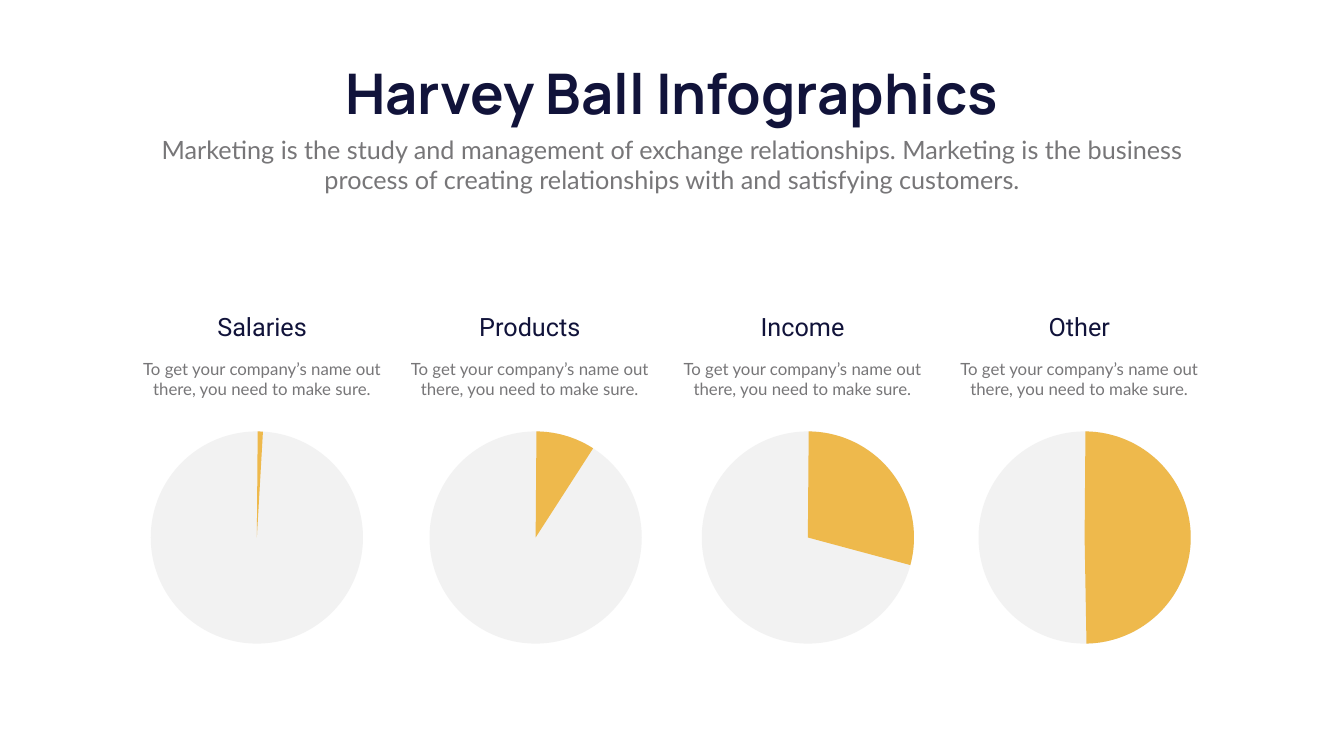
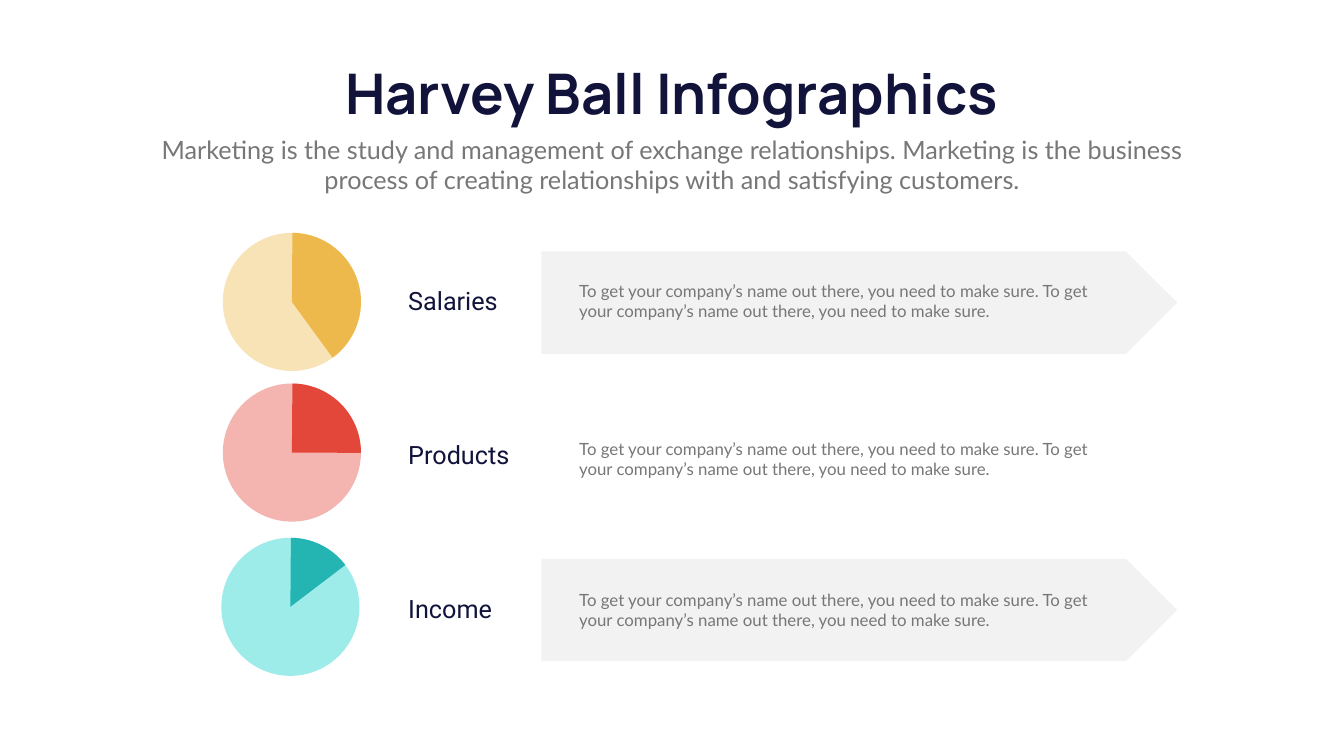
import pptx
import pptx.dml.color
import pptx.enum.shapes
import pptx.enum.text
import pptx.util

Inches = pptx.util.Inches
SHAPE = pptx.enum.shapes.MSO_SHAPE
ALIGN = pptx.enum.text.PP_ALIGN
AUTO_SIZE = pptx.enum.text.MSO_AUTO_SIZE

COLORS = {
    "navy": "11133A",
    "gray": "777678",
    "light": "F2F2F2",
    "gold": "EEB94C",
    "pale_gold": "F8E3B7",
    "red": "E34739",
    "pale_red": "F4B5B0",
    "teal": "24B5B2",
    "pale_teal": "9DECEA",
}
STYLES = {
    "title": ("Manrope", 80, "navy", True),
    "subtitle": ("Lato", 36, "gray", False),
    "label": ("Roboto", 36, "navy", False),
    "body": ("Lato", 24, "gray", False),
}
TITLE = "Harvey Ball Infographics"
SUBTITLE = (
    "Marketing is the study and management of exchange relationships. "
    "Marketing is the business process of creating relationships with "
    "and satisfying customers."
)
BLURB = "To get your company’s name out there, you need to make sure."
LONG_BLURB = f"{BLURB} To get your company’s name out there, you need to make sure."
PIE_START = 270.45
ROW_PITCH = 3.05


def rgb(name):
    return pptx.dml.color.RGBColor.from_string(COLORS[name])


def add_text(shapes, box, text, style, align=ALIGN.LEFT, wrap=True):
    font, size, color, bold = STYLES[style]
    tf = shapes.add_textbox(*map(Inches, box)).text_frame
    tf.word_wrap = wrap
    tf.auto_size = AUTO_SIZE.SHAPE_TO_FIT_TEXT
    tf.text = text
    p = tf.paragraphs[0]
    p.alignment = align
    r = p.runs[0]
    r.font.name = font
    r.font.size = pptx.util.Pt(size)
    r.font.bold = bold
    r.font.color.rgb = rgb(color)


def add_filled(shapes, kind, box, color):
    sp = shapes.add_shape(kind, *map(Inches, box))
    sp.shadow.inherit = False
    sp.fill.solid()
    sp.fill.fore_color.rgb = rgb(color)
    sp.line.fill.background()
    return sp


def add_ball(s, left, top, size, end_angle, base, wedge):
    shapes = s.shapes.add_group_shape().shapes
    box = (left, top, size, size)
    add_filled(shapes, SHAPE.OVAL, box, base)
    pie = add_filled(shapes, SHAPE.PIE, box, wedge)
    for i, angle in enumerate((PIE_START, end_angle)):
        pie.adjustments[i] = angle * 0.6


def add_header(s, left, top):
    shapes = s.shapes.add_group_shape().shapes
    add_text(shapes, (left + 3.22, top, 14.37, 1.45), TITLE, "title", ALIGN.CENTER, False)
    add_text(shapes, (left, top + 1.49, 20.82, 1.31), SUBTITLE, "subtitle", ALIGN.CENTER)


def add_column(s, left, top, label, ball_left, end_angle):
    add_ball(s, ball_left, top + 2.44, 4.21, end_angle, "light", "gold")
    add_text(s.shapes, (left, top + 0.95, 5.59, 0.91), BLURB, "body", ALIGN.CENTER)
    add_text(s.shapes, (left + 1.17, top, 3.26, 0.71), label, "label", ALIGN.CENTER)


def add_row(s, left, top, label, ball, end_angle, hue, text_top, banner):
    add_ball(s, *ball, 2.74, end_angle, f"pale_{hue}", hue)
    add_text(s.shapes, (left, top + 0.63, 3.26, 0.71), label, "label")
    if banner:
        add_filled(s.shapes, SHAPE.PENTAGON, (left + 2.74, top, 12.61, 2.03), "light")
    add_text(s.shapes, (left + 3.39, text_top, 10.8, 0.91), LONG_BLURB, "body")


def new_slide(prs):
    s = prs.slides.add_slide(prs.slide_layouts[6])
    add_header(s, 2.92, 1.12)
    return s


def build_columns(prs):
    s = new_slide(prs)
    columns = [
        (2.4, "Salaries", 2.99, 273.29),
        (7.71, "Products", 8.52, 302.8),
        (13.12, "Income", 13.92, 15.07),
        (18.61, "Other", 19.41, 88.99),
    ]
    for left, label, ball_left, end_angle in columns:
        add_column(s, left, 6.12, label, ball_left, end_angle)


def build_rows(prs):
    s = new_slide(prs)
    rows = [
        ("Salaries", (4.42, 4.62), 53.89, "gold", 5.52, True),
        ("Products", (4.42, 7.61), 0.23, "red", 8.65, False),
        ("Income", (4.39, 10.67), 322.72, "teal", 11.65, True),
    ]
    for i, row in enumerate(rows):
        add_row(s, 8, 4.99 + i * ROW_PITCH, *row)


def main():
    prs = pptx.Presentation()
    prs.slide_width = Inches(26.66)
    prs.slide_height = Inches(15)
    build_columns(prs)
    build_rows(prs)
    prs.save("out.pptx")


if __name__ == "__main__":
    main()
